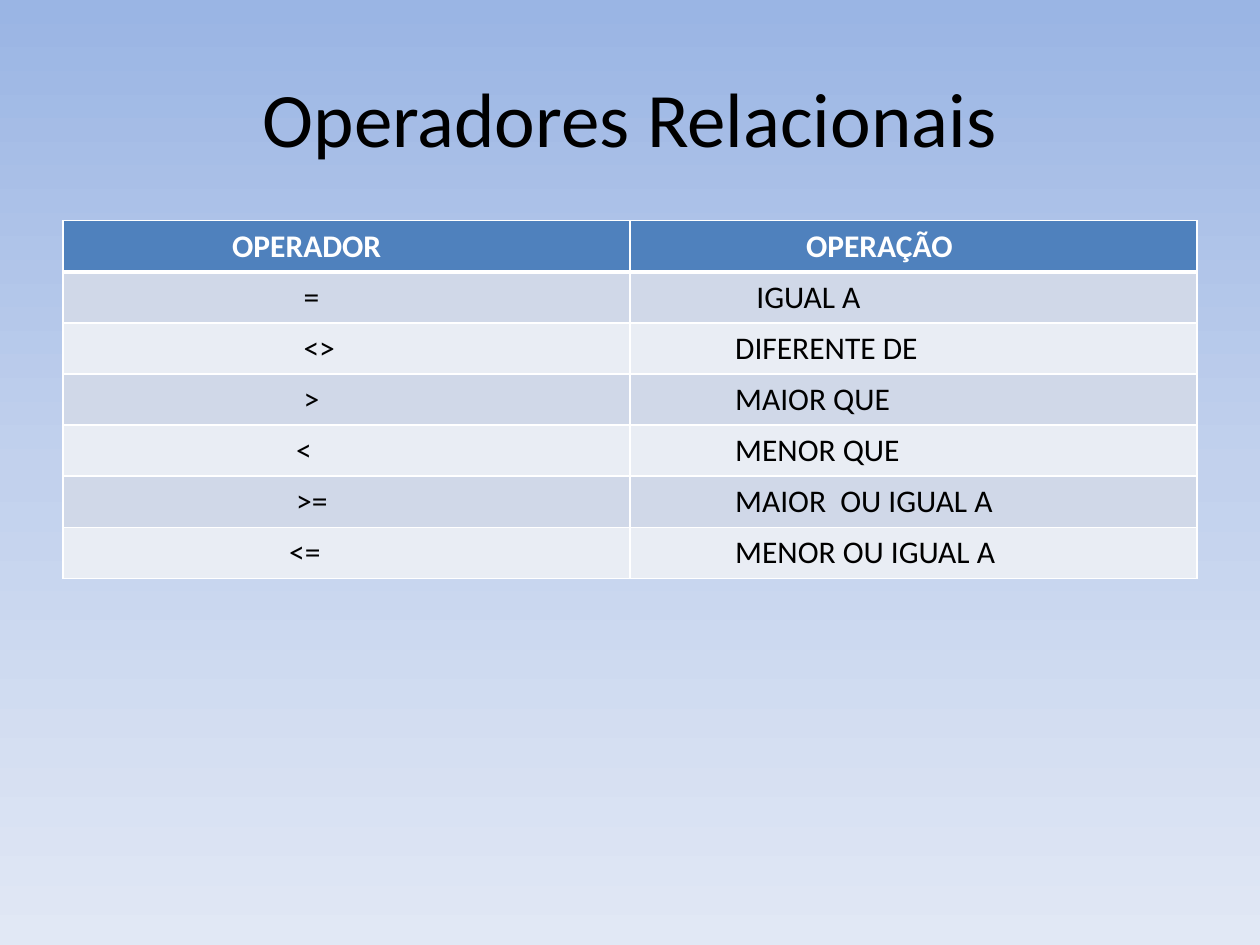
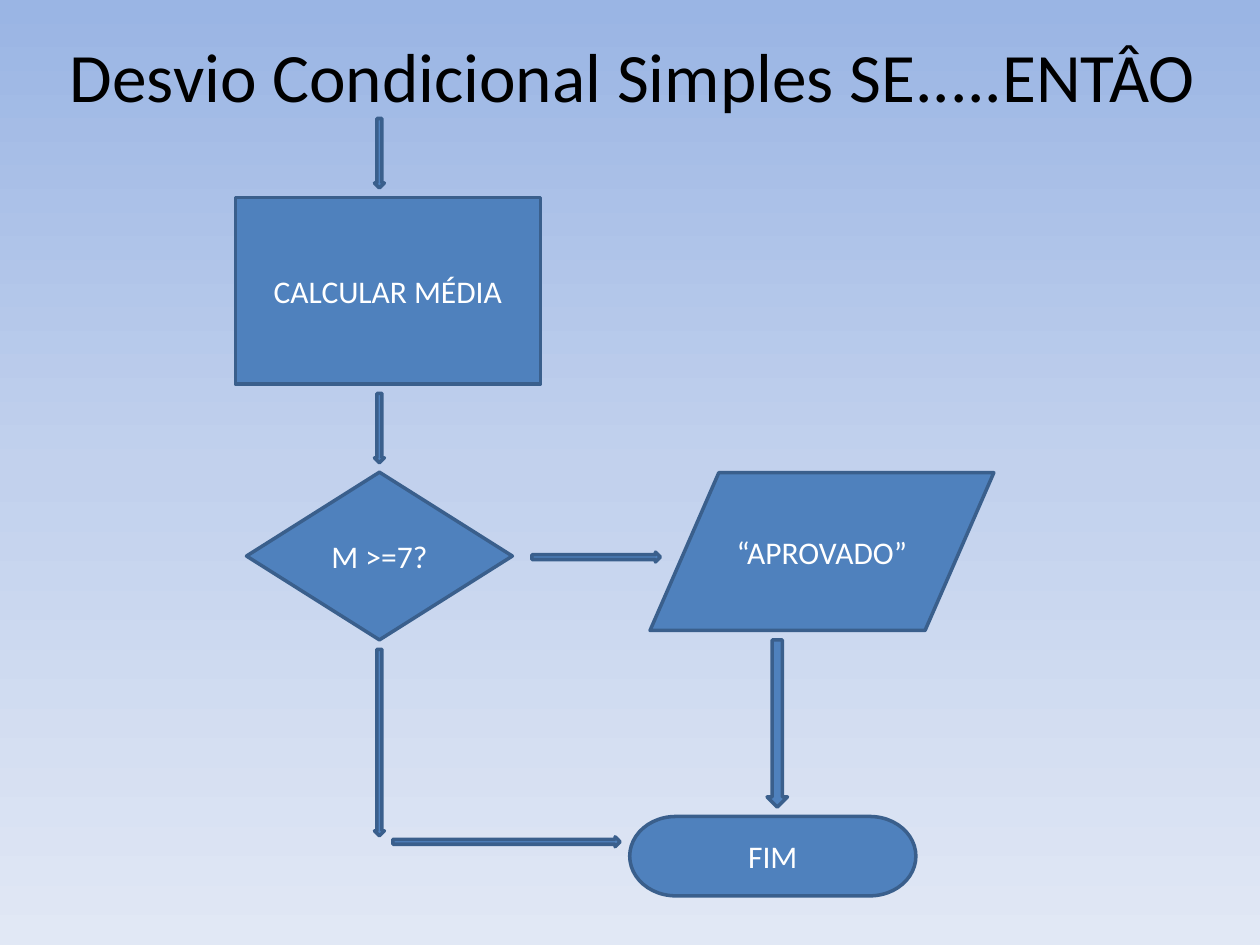
from copy import deepcopy

from lxml.etree import SubElement
from pptx import Presentation
from pptx.dml.color import RGBColor
from pptx.enum.shapes import MSO_SHAPE
from pptx.enum.text import MSO_ANCHOR, MSO_AUTO_SIZE, PP_ALIGN
from pptx.oxml.ns import qn
from pptx.util import Cm, Pt

# Shared style
FONT = "Calibri"
COLORS = {
    "black": "000000", "white": "FFFFFF", "blue": "4F81BD", "outline": "3A5F8C",
    "odd_row": "D0D8E8", "even_row": "E9EDF4",
}
BACKGROUND_STOPS = [(0, "9AB5E4"), (50, "C2D1ED"), (100, "E1E8F5")]

# Content of slide 1: each cell is its text and left indent in cm
OPERATORS = [
    (("OPERADOR", 3.41), ("OPERAÇÃO", 3.55)),
    (("=", 4.85), ("IGUAL A", 2.55)),
    (("<>", 4.85), ("DIFERENTE DE", 2.12)),
    ((">", 4.85), ("MAIOR QUE", 2.12)),
    (("<", 4.70), ("MENOR QUE", 2.12)),
    ((">=", 4.70), ("MAIOR  OU IGUAL A", 2.12)),
    (("<=", 4.56), ("MENOR OU IGUAL A", 2.12)),
]

# Content of slide 2: columns of (shape, text, centre x, width, height) in cm
DOWN, RIGHT = MSO_SHAPE.DOWN_ARROW, MSO_SHAPE.RIGHT_ARROW
FLOW_GAP = 0.19
MAIN_COLUMN = [
    (DOWN, "", 7.65, 0.2, 1.4),
    (MSO_SHAPE.FLOWCHART_PROCESS, "CALCULAR MÉDIA", 7.82, 6.15, 3.76),
    (DOWN, "", 7.65, 0.2, 1.4),
    (MSO_SHAPE.FLOWCHART_DECISION, "M >=7?", 7.65, 5.36, 3.38),
    (DOWN, "", 7.65, 0.2, 3.76),
]
# The last arrow of this column ends one gap above the terminator
APPROVED_COLUMN = [
    (MSO_SHAPE.FLOWCHART_DATA, "“APROVADO”", 16.57, 6.93, 3.18),
    (DOWN, "", 15.67, 0.41, 3.37),
    (MSO_SHAPE.FLOWCHART_TERMINATOR, "FIM", 15.58, 5.77, 1.6),
]
# This arrow ends one gap left of the terminator
BRANCH_TO_END = [(RIGHT, "", 10.21, 4.58, 0.2)]
BRANCH_TO_APPROVED = [(RIGHT, "", 12.02, 2.59, 0.2)]
FLOW = [  # top of each column in cm, in drawing order
    (2.39, MAIN_COLUMN), (9.53, APPROVED_COLUMN),
    (16.87, BRANCH_TO_END), (11.13, BRANCH_TO_APPROVED),
]


def color(name):
    return RGBColor.from_string(COLORS[name])


def write_text(frame, text, *, size=18, name="black", bold=False,
               align=PP_ALIGN.LEFT, anchor=MSO_ANCHOR.MIDDLE):
    frame.word_wrap = True
    frame.vertical_anchor = anchor
    paragraph = frame.paragraphs[0]
    paragraph.alignment = align
    run = paragraph.add_run()
    run.text = text
    run.font.name, run.font.size, run.font.bold = FONT, Pt(size), bold
    run.font.color.rgb = color(name)


def set_background(master):
    fill = master.background.fill
    fill.gradient()
    fill.gradient_angle = 270
    stop_list = master.element.find(".//" + qn("p:bgPr")).find(".//" + qn("a:gsLst"))
    stop_list.insert(1, deepcopy(stop_list[0]))
    for stop, (position, value) in zip(fill.gradient_stops, BACKGROUND_STOPS):
        stop.position = position / 100
        stop.color.rgb = RGBColor.from_string(value)


def add_slide(text, left, top, width, size, anchor=MSO_ANCHOR.MIDDLE):
    slide = presentation.slides.add_slide(presentation.slide_layouts[5])
    title = slide.shapes.title
    title.left, title.top, title.width, title.height = (
        Cm(left), Cm(top), Cm(width), Cm(3.18))
    title.text_frame.auto_size = MSO_AUTO_SIZE.NONE
    title.text_frame.margin_top = title.text_frame.margin_bottom = 0
    write_text(title.text_frame, text, size=size, align=PP_ALIGN.CENTER, anchor=anchor)
    return slide


def set_borders(cell, top, bottom):
    properties = cell._tc.get_or_add_tcPr()
    widths = {"a:lnL": 1, "a:lnR": 1, "a:lnT": top, "a:lnB": bottom}
    for index, (tag, width) in enumerate(widths.items()):
        line = SubElement(properties, qn(tag), w=str(Pt(width)))
        SubElement(SubElement(line, qn("a:solidFill")), qn("a:srgbClr"),
                   val=COLORS["white"])
        properties.insert(index, line)


def add_operator_table(slide):
    row_height = 1.03
    table = slide.shapes.add_table(
        len(OPERATORS), 2, Cm(1.27), Cm(4.45), Cm(22.86),
        Cm(row_height * len(OPERATORS))).table
    table.horz_banding = False
    for row_index, row in enumerate(OPERATORS):
        table.rows[row_index].height = Cm(row_height)
        header = row_index == 0
        fill = "blue" if header else "odd_row" if row_index % 2 else "even_row"
        for column_index, (text, indent) in enumerate(row):
            cell = table.cell(row_index, column_index)
            cell.margin_left = Cm(indent)
            write_text(cell.text_frame, text, bold=header,
                       name="white" if header else "black", anchor=MSO_ANCHOR.TOP)
            cell.fill.solid()
            cell.fill.fore_color.rgb = color(fill)
            set_borders(cell, top=3 if row_index == 1 else 1, bottom=3 if header else 1)


def add_flow_column(slide, top, column):
    for kind, text, center, width, height in column:
        shape = slide.shapes.add_shape(
            kind, Cm(center - width / 2), Cm(top), Cm(width), Cm(height))
        shape.shadow.inherit = False
        shape.fill.solid()
        shape.fill.fore_color.rgb = color("blue")
        shape.line.color.rgb = color("outline")
        shape.line.width = Pt(2)
        if text:
            write_text(shape.text_frame, text, name="white", align=PP_ALIGN.CENTER)
        top += height + FLOW_GAP


presentation = Presentation()
presentation.slide_width, presentation.slide_height = Cm(25.4), Cm(19.05)
set_background(presentation.slide_master)

# Slide 1: table of relational operators
operators_slide = add_slide("Operadores Relacionais", 1.27, 0.76, 22.86, 44)
add_operator_table(operators_slide)

# Slide 2: flowchart of the simple condition
flow_slide = add_slide("Desvio Condicional Simples SE.....ENTÂO", 0.69, 0.66, 24.13,
                       39.6, anchor=MSO_ANCHOR.TOP)
for column_top, flow_column in FLOW:
    add_flow_column(flow_slide, column_top, flow_column)

presentation.save("out.pptx")
